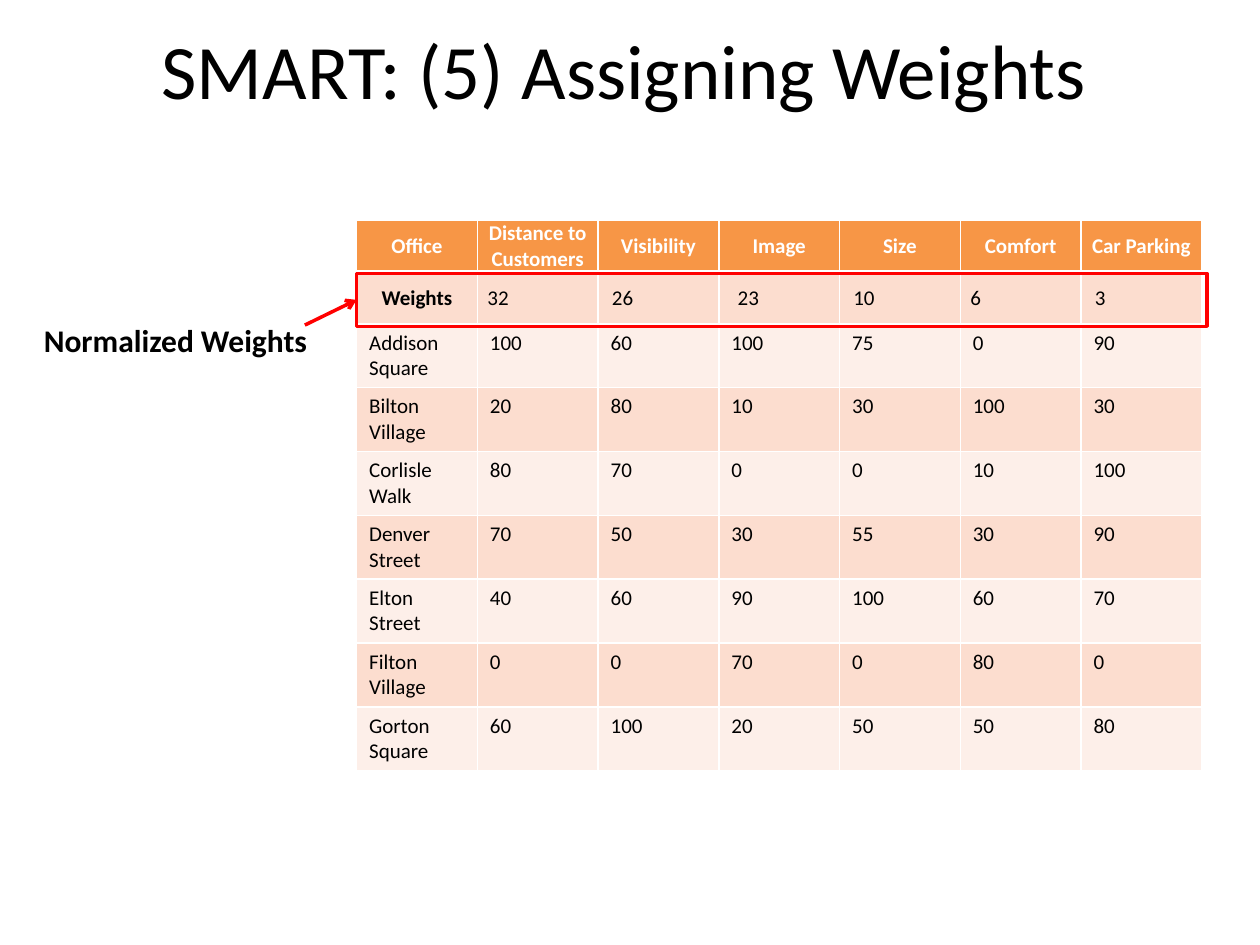
from lxml import etree
from pptx import Presentation
from pptx.dml.color import RGBColor
from pptx.enum.shapes import MSO_CONNECTOR, MSO_SHAPE
from pptx.enum.text import MSO_ANCHOR, PP_ALIGN
from pptx.oxml.ns import qn
from pptx.util import Inches, Pt

CENTER, LEFT = PP_ALIGN.CENTER, PP_ALIGN.LEFT
MIDDLE, TOP = MSO_ANCHOR.MIDDLE, MSO_ANCHOR.TOP
RECT, STRAIGHT = MSO_SHAPE.RECTANGLE, MSO_CONNECTOR.STRAIGHT
WHITE = RGBColor(0xFF, 0xFF, 0xFF)
BLACK = RGBColor(0, 0, 0)
RED = RGBColor(0xFF, 0, 0)
ORANGE = RGBColor(0xF7, 0x96, 0x46)
PEACH = RGBColor(0xFC, 0xDD, 0xCF)
PALE = RGBColor(0xFD, 0xEF, 0xE9)

HEADS = ["Office", "Distance to Customers", "Visibility", "Image", "Size",
         "Comfort", "Car Parking"]
WEIGHTS = ["Weights", 32, 26, 23, 10, 6, 3]
INDENTS = [0, 0.08, 0.11, 0.15, 0.11, 0.08, 0.11]
SCORES = [
    ["Addison Square", 100, 60, 100, 75, 0, 90],
    ["Bilton Village", 20, 80, 10, 30, 100, 30],
    ["Corlisle Walk", 80, 70, 0, 0, 10, 100],
    ["Denver Street", 70, 50, 30, 55, 30, 90],
    ["Elton Street", 40, 60, 90, 100, 60, 70],
    ["Filton Village", 0, 0, 70, 0, 80, 0],
    ["Gorton Square", 60, 100, 20, 50, 50, 80],
]


def write(frame, text, size, color=BLACK, bold=False, align=LEFT):
    frame.text = text
    para = frame.paragraphs[0]
    para.alignment = align
    font = para.font
    font.name, font.size, font.bold = "Calibri", Pt(size), bold
    font.color.rgb = color


def edge(cell, base):
    props = cell._tc.get_or_add_tcPr()
    for tag, width in (("a:lnL", 1), ("a:lnR", 1), ("a:lnT", 1), ("a:lnB", base)):
        line = etree.SubElement(props, qn(tag), w=str(Pt(width)))
        fill = etree.SubElement(line, qn("a:solidFill"))
        etree.SubElement(fill, qn("a:srgbClr"), val=str(WHITE))


def add_title(slide, left, top, width, height):
    title = slide.shapes.title
    title.left, title.top = Inches(left), Inches(top)
    title.width, title.height = Inches(width), Inches(height)
    title.text_frame.vertical_anchor = MIDDLE
    write(title.text_frame, "SMART: (5) Assigning Weights", 44, align=CENTER)


def add_scores(slide, left, top, width, height):
    rows = [HEADS, WEIGHTS] + SCORES
    table = slide.shapes.add_table(
        len(rows), len(HEADS), Inches(left), Inches(top),
        Inches(width), Inches(height)).table
    for r, values in enumerate(rows):
        table.rows[r].height = Inches(0.41 if r < 2 else 0.5)
        for c, value in enumerate(values):
            cell = table.cell(r, c)
            head = r == 0
            edge(cell, 3 if head else 1)
            cell.fill.solid()
            cell.fill.fore_color.rgb = ORANGE if head else PEACH if r % 2 else PALE
            cell.vertical_anchor = MIDDLE if r < 2 else TOP
            if r < 2:
                cell.margin_left = Inches(0 if head else INDENTS[c])
                cell.margin_right = cell.margin_top = cell.margin_bottom = 0
            label = head or (r == 1 and c == 0)
            write(cell.text_frame, str(value), 12, WHITE if head else BLACK,
                  label, CENTER if label else LEFT)


def add_note(slide, left, top, width, height):
    box = slide.shapes.add_textbox(
        Inches(left), Inches(top), Inches(width), Inches(height))
    box.text_frame.word_wrap = True
    write(box.text_frame, "Normalized Weights", 18, bold=True)


def add_mark(slide, left, top, width, height):
    frame = slide.shapes.add_shape(
        RECT, Inches(left), Inches(top), Inches(width), Inches(height))
    frame.shadow.inherit = False
    frame.fill.background()
    arrow = slide.shapes.add_connector(
        STRAIGHT, Inches(left - 0.41), Inches(top + 0.41),
        Inches(left), Inches(top + height / 2))
    etree.SubElement(arrow._element.spPr, qn("a:effectLst"))
    for line in (frame.line, arrow.line):
        line.color.rgb = RED
        line.width = Pt(2)
    etree.SubElement(arrow.line._get_or_add_ln(), qn("a:tailEnd"), type="arrow")


deck = Presentation()
deck.slide_width, deck.slide_height = Inches(10), Inches(7.5)
slide = deck.slides.add_slide(deck.slide_layouts[5])
add_scores(slide, 2.83, 1.75, 6.71, 4.31)
add_title(slide, 0.33, -0.08, 9.25, 1.25)
add_note(slide, 0.25, 2.5, 8.83, 0.4)
add_mark(slide, 2.83, 2.17, 6.75, 0.42)
deck.save("out.pptx")
